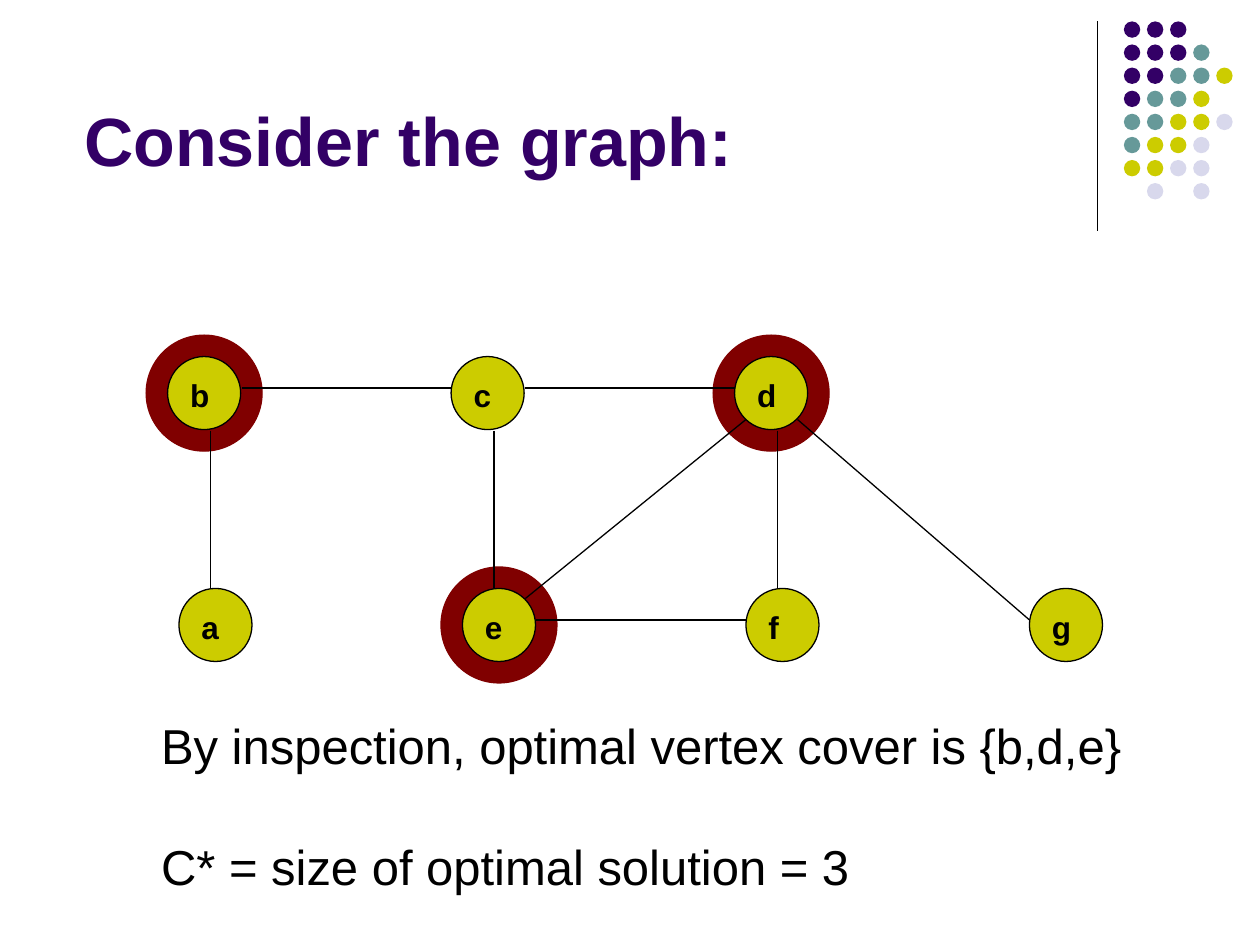
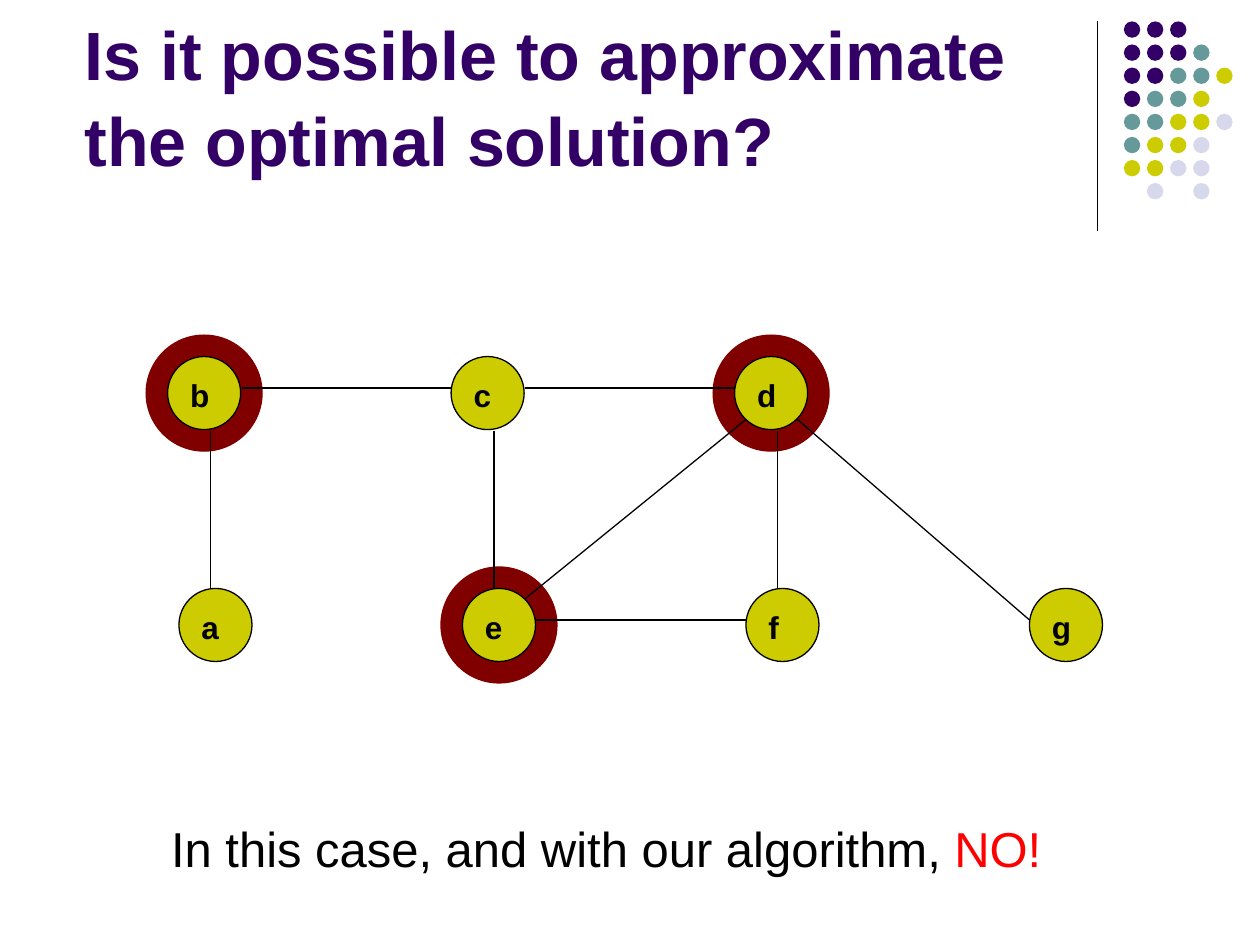
from lxml import etree
from pptx import Presentation
from pptx.dml.color import RGBColor
from pptx.enum.shapes import MSO_CONNECTOR, MSO_SHAPE
from pptx.enum.text import MSO_ANCHOR, MSO_AUTO_SIZE, PP_ALIGN
from pptx.oxml.ns import qn
from pptx.util import Inches, Pt

OVAL = MSO_SHAPE.OVAL
STRAIGHT = MSO_CONNECTOR.STRAIGHT
BOTTOM = MSO_ANCHOR.BOTTOM
LEFT = PP_ALIGN.LEFT
NO_AUTOFIT = MSO_AUTO_SIZE.NONE

FONT = "Arial"
COLORS = {
    "purple": "330066",
    "teal": "669999",
    "yellow": "CCCC00",
    "lilac": "D8D8EC",
    "cover": "800000",
    "black": "000000",
    "red": "FF0000",
}

DOT_COLORS = {"p": "purple", "t": "teal", "y": "yellow", "l": "lilac"}
DOT_ROWS = ["ppp", "pppt", "pptty", "ptty", "ttyyl", "tyyl", "yyll", ".l.l"]
DOT_SIZE = 0.13
DOT_PITCH = 0.55 / 3

TITLE_BOX = (0.57, 0.2, 8.11, 1.28)
GRAPH_ORIGIN = (1.17, 2.67)
NODE_SIZE = 0.58
HALO_MARGIN = 0.17
COLUMN_PITCH = 2.25
NODE_ROWS = [("bcd", 0.16, 0.16), ("aefg", 0.25, 2)]
COVER = "bde"
# Ends of each edge, measured from the graph's origin
EDGES = [(0.5 + COLUMN_PITCH * i, 0.75, 0.5 + COLUMN_PITCH * i, 2) for i in range(3)]
EDGES += [
    (0.75, 0.41, 2.41, 0.41),
    (3, 0.41, 4.66, 0.41),
    (3.08, 2.25, 4.75, 2.25),
    (3, 2.08, 4.75, 0.66),
    (5.16, 0.66, 7, 2.25),
]


def rgb(name):
    return RGBColor.from_string(COLORS[name])


def add_oval(shapes, x, y, size, fill, line=None):
    sp = shapes.add_shape(OVAL, *map(Inches, (x, y, size, size)))
    sp.shadow.inherit = False
    sp.fill.solid()
    sp.fill.fore_color.rgb = rgb(fill)
    if line:
        sp.line.color.rgb = rgb(line)
        sp.line.width = Pt(0.75)
    else:
        sp.line.fill.background()


def add_line(shapes, x1, y1, x2, y2):
    line = shapes.add_connector(STRAIGHT, *map(Inches, (x1, y1, x2, y2)))
    line.line.color.rgb = rgb("black")
    line.line.width = Pt(0.75)
    etree.SubElement(line._element.spPr, qn("a:effectLst"))


def write(tf, *paragraphs, size, color="black", bold=False, gap=0, wrap=True):
    """Fill a frame; each paragraph is a list of (text, colour or None) runs."""
    tf.word_wrap = wrap
    tf.auto_size = NO_AUTOFIT
    for i, runs in enumerate(paragraphs):
        p = tf.add_paragraph() if i else tf.paragraphs[0]
        p.alignment = LEFT
        p.line_spacing = 1.05
        p.space_before = Pt(gap if i else 0)
        for text, run_color in runs:
            r = p.add_run()
            r.text = text
            r.font.name = FONT
            r.font.size = Pt(size)
            r.font.bold = bold
            r.font.color.rgb = rgb(run_color or color)


def add_text(s, box, *paragraphs, **fmt):
    tb = s.shapes.add_textbox(*map(Inches, box))
    write(tb.text_frame, *paragraphs, **fmt)


def add_corner_dots(shapes, left, top):
    for row, codes in enumerate(DOT_ROWS):
        for col, code in enumerate(codes):
            if code in DOT_COLORS:
                add_oval(shapes, left + col * DOT_PITCH, top + row * DOT_PITCH,
                         DOT_SIZE, DOT_COLORS[code])


def decorate_layout(layout, s):
    """Draw the shared corner on a slide, then move it to the layout."""
    group = s.shapes.add_group_shape()
    add_line(group.shapes, 8.71, 0.17, 8.71, 1.83)
    add_corner_dots(group.shapes, 8.92, 0.17)
    layout.shapes.element.append(group.element)
    title = layout.placeholders[0]
    title.left, title.top, title.width, title.height = map(Inches, TITLE_BOX)


def add_title(s, text):
    tf = s.shapes.title.text_frame
    tf.vertical_anchor = BOTTOM
    write(tf, [(text, None)], size=39, color="purple", bold=True)


def add_graph(s, left, top):
    nodes = {
        name: (left + dx + i * COLUMN_PITCH, top + dy)
        for names, dx, dy in NODE_ROWS
        for i, name in enumerate(names)
    }
    for name in COVER:
        x, y = nodes[name]
        add_oval(s.shapes, x - HALO_MARGIN, y - HALO_MARGIN,
                 NODE_SIZE + 2 * HALO_MARGIN, "cover", "cover")
    for name, (x, y) in nodes.items():
        add_oval(s.shapes, x, y, NODE_SIZE, "yellow", "black")
        add_text(s, (x + 0.08, y + 0.09, 0.42, 0.4), [(name, None)], size=18, bold=True)
    for x1, y1, x2, y2 in EDGES:
        add_line(s.shapes, left + x1, top + y1, left + x2, top + y2)


def add_graph_slide(s, title, box, *paragraphs):
    add_title(s, title)
    add_graph(s, *GRAPH_ORIGIN)
    add_text(s, box, *paragraphs, size=28, gap=33.6, wrap=False)


def main():
    prs = Presentation()
    prs.slide_width, prs.slide_height = Inches(10), Inches(7.5)
    layout = prs.slide_layouts.get_by_name("Title Only")

    s = prs.slides.add_slide(layout)
    decorate_layout(layout, s)
    add_graph_slide(
        s, "Consider the graph:", (1.18, 5.61, 7.82, 1.5),
        [("By inspection, optimal vertex cover is {b,d,e}", None)],
        [("C* = size of optimal solution = 3", None)],
    )

    s = prs.slides.add_slide(layout)
    add_graph_slide(
        s, "Is it possible to approximate the optimal solution?", (1.26, 6.42, 7.1, 0.57),
        [("In this case, and with our algorithm, ", None), ("NO!", "red")],
    )
    prs.save("out.pptx")


if __name__ == "__main__":
    main()
